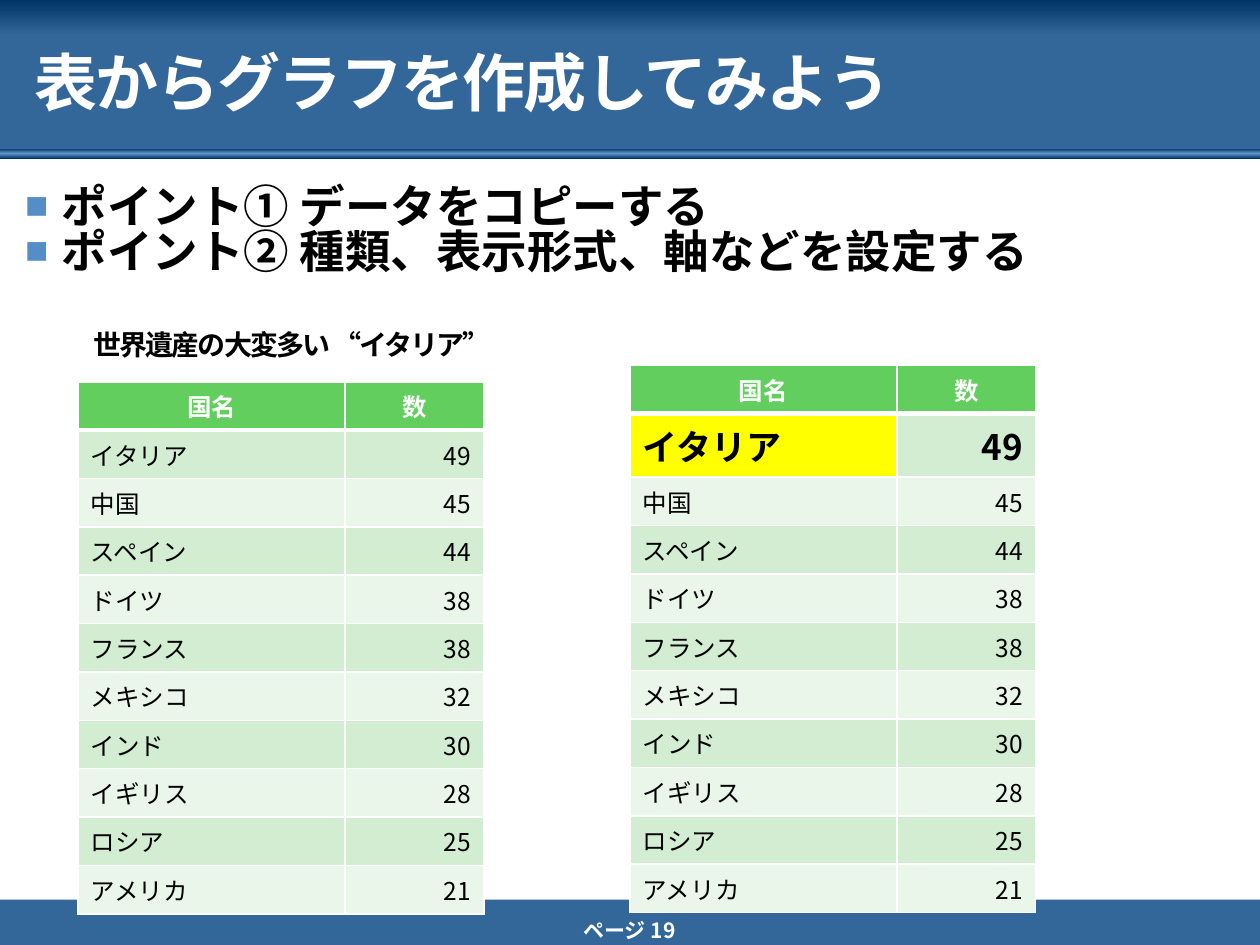
from lxml import etree
from pptx import Presentation
from pptx.dml.color import RGBColor
from pptx.enum.shapes import MSO_SHAPE
from pptx.enum.text import MSO_ANCHOR, MSO_AUTO_SIZE, PP_ALIGN
from pptx.oxml.ns import qn
from pptx.util import Inches, Pt

RECTANGLE = MSO_SHAPE.RECTANGLE
MIDDLE = MSO_ANCHOR.MIDDLE
NO_AUTOFIT = MSO_AUTO_SIZE.NONE
LEFT, CENTER, RIGHT = PP_ALIGN.LEFT, PP_ALIGN.CENTER, PP_ALIGN.RIGHT

NAVY = RGBColor(0x00, 0x33, 0x66)
BLUE = RGBColor(0x33, 0x66, 0x99)
LIGHT_BLUE = RGBColor(0x61, 0x96, 0xCB)
BULLET_BLUE = RGBColor(0x55, 0x8E, 0xC7)
GREEN = RGBColor(0x61, 0xCE, 0x5E)
PALE_GREEN = RGBColor(0xD2, 0xED, 0xD2)
PALEST_GREEN = RGBColor(0xEA, 0xF6, 0xEA)
YELLOW = RGBColor(0xFF, 0xFF, 0x00)
WHITE = RGBColor(0xFF, 0xFF, 0xFF)
BLACK = RGBColor(0x00, 0x00, 0x00)

HEADING_FONT = "Cabin"
TEXT_FONT = "Noto Sans CJK JP"

COUNTRIES = [
    ("イタリア", 49), ("中国", 45), ("スペイン", 44), ("ドイツ", 38), ("フランス", 38),
    ("メキシコ", 32), ("インド", 30), ("イギリス", 28), ("ロシア", 25), ("アメリカ", 21),
]


def format_paragraph(para, size, color, align=LEFT, bold=True, font=TEXT_FONT):
    para.alignment = align
    for span in para.runs:
        span.font.size = Pt(size)
        span.font.bold = bold
        span.font.color.rgb = color
        span.font.name = font
        etree.SubElement(span.font._element, qn("a:ea"), typeface=TEXT_FONT)


def format_heading(box, text, size, color):
    frame = box.text_frame
    frame.text = text
    frame.word_wrap = True
    frame.auto_size = NO_AUTOFIT
    frame.vertical_anchor = MIDDLE
    frame.margin_left = frame.margin_right = Inches(0.08)
    frame.margin_top, frame.margin_bottom = Inches(0.12), 0
    para = frame.paragraphs[0]
    format_paragraph(para, size, color, font=HEADING_FONT)
    para._p.get_or_add_pPr().set("marL", str(Inches(0.19)))
    para.runs[0].font._element.set("spc", "-100")


deck = Presentation()
deck.slide_width, deck.slide_height = Inches(10), Inches(7.5)
page = deck.slides.add_slide(deck.slide_layouts[1])
title, body = page.placeholders

# Full-width bands, placed behind the placeholders
BANDS = [
    (0, 1.18, [(0, NAVY), (24, BLUE), (100, BLUE)]),
    (1.18, 0.08, [(0, NAVY), (48, LIGHT_BLUE), (100, NAVY)]),
    (7.14, 0.36, None),
]
for top, height, stops in BANDS:
    band = page.shapes.add_shape(RECTANGLE, 0, Inches(top), Inches(10), Inches(height))
    band.shadow.inherit = False
    band.line.fill.background()
    if stops:
        band.fill.gradient()
        band.fill.gradient_angle = 270
        stop_list = band.element.spPr.find(".//" + qn("a:gsLst"))
        for old_stop in list(stop_list):
            stop_list.remove(old_stop)
        for percent, color in stops:
            stop = etree.SubElement(stop_list, qn("a:gs"), pos=str(percent * 1000))
            etree.SubElement(stop, qn("a:srgbClr"), val=str(color))
    else:
        band.fill.solid()
        band.fill.fore_color.rgb = BLUE
    title.element.addprevious(band.element)

# Title
title.left, title.top, title.width, title.height = 0, 0, Inches(10), Inches(1.17)
format_heading(title, "表からグラフを作成してみよう", 36, WHITE)

# Bulleted points
body.left, body.top, body.width, body.height = 0, Inches(1.31), Inches(10), Inches(5.67)
frame = body.text_frame
frame.auto_size = NO_AUTOFIT
frame.margin_left, frame.margin_top = Inches(0.2), Inches(0.18)
frame.margin_right = frame.margin_bottom = Inches(0.04)
frame.text = "ポイント① データをコピーする\nポイント② 種類、表示形式、軸などを設定する"
for para in frame.paragraphs:
    format_paragraph(para, 26, BLACK)
    para.space_before = Pt(0)
    para.line_spacing = 0.82
    properties = para._p.get_or_add_pPr()
    properties.set("marL", str(Inches(0.29)))
    properties.set("indent", str(-Inches(0.29)))
    bullet_color = etree.SubElement(properties, qn("a:buClr"))
    etree.SubElement(bullet_color, qn("a:srgbClr"), val=str(BULLET_BLUE))
    etree.SubElement(properties, qn("a:buSzPct"), val="85000")
    etree.SubElement(properties, qn("a:buChar"), char="■")

# Country tables: plain on the left, first country highlighted on the right
for left, top, highlighted in [(0.62, 3.03, False), (5, 2.9, True)]:
    rows = [("国名", "数")] + COUNTRIES
    table = page.shapes.add_table(
        len(rows), 2, Inches(left), Inches(top), Inches(3.22), Inches(3.67)
    ).table
    table.columns[0].width, table.columns[1].width = Inches(2.12), Inches(1.1)
    for row_index, values in enumerate(rows):
        is_header = row_index == 0
        is_highlight = highlighted and row_index == 1
        table.rows[row_index].height = Inches(0.46 if is_highlight else 0.33)
        for column_index, value in enumerate(values):
            cell = table.cell(row_index, column_index)
            cell.text = str(value)
            if is_header:
                align, fill = CENTER, GREEN
            else:
                align = RIGHT if column_index else LEFT
                fill = PALE_GREEN if row_index % 2 else PALEST_GREEN
            if is_highlight and column_index == 0:
                fill = YELLOW
            format_paragraph(
                cell.text_frame.paragraphs[0], 20 if is_highlight else 14,
                WHITE if is_header else BLACK, align, is_header or is_highlight,
            )
            cell_properties = cell._tc.get_or_add_tcPr()
            for side in "LRTB":
                thick = (row_index, side) in [(0, "B"), (1, "T")]
                border = etree.SubElement(
                    cell_properties, qn("a:ln" + side), w=str(Pt(3 if thick else 1))
                )
                border_fill = etree.SubElement(border, qn("a:solidFill"))
                etree.SubElement(border_fill, qn("a:srgbClr"), val=str(WHITE))
            cell.fill.solid()
            cell.fill.fore_color.rgb = fill

# Table caption
caption = page.shapes.add_textbox(Inches(0.47), Inches(2.31), Inches(3.73), Inches(0.72))
format_heading(caption, "世界遺産の大変多い “イタリア”", 16, BLACK)

# Page number
page_number = page.shapes.add_textbox(Inches(3.54), Inches(7.23), Inches(2.91), Inches(0.3))
page_number.text_frame.word_wrap = True
page_number.text_frame.text = "ページ 19"
format_paragraph(page_number.text_frame.paragraphs[0], 12, WHITE, CENTER)

deck.save("out.pptx")
